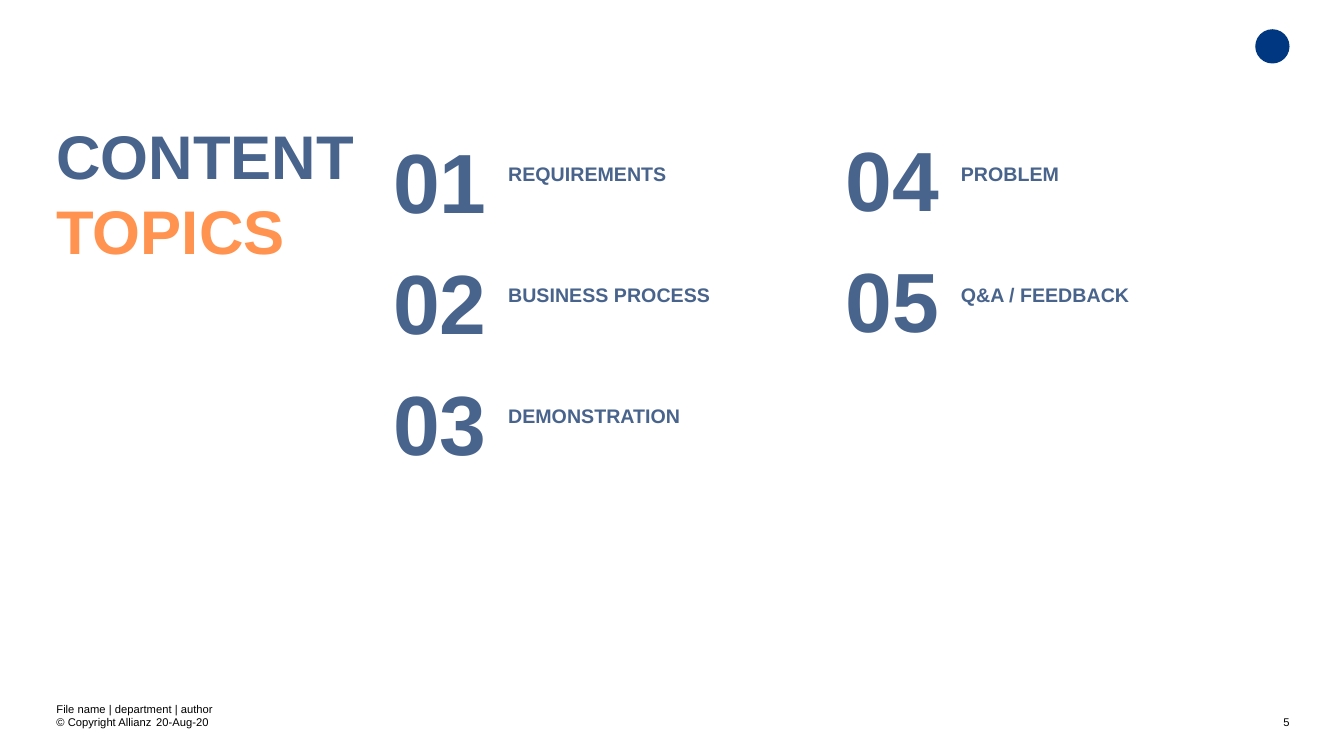
"""Build the content topics slide."""
from pptx import Presentation
from pptx.dml.color import RGBColor
from pptx.enum.shapes import MSO_SHAPE as Shape
from pptx.enum.text import MSO_ANCHOR as Anchor, PP_ALIGN as Align
from pptx.util import Inches, Pt

NAVY, ORANGE, EMBLEM_BLUE, BLACK = "49648C", "FF934F", "003781", "000000"
TITLE = [("CONTENT ", NAVY), ("TOPICS", ORANGE)]
TOPIC_COLUMNS = [
    ["REQUIREMENTS", "BUSINESS PROCESS", "DEMONSTRATION"],
    ["PROBLEM", "Q&A / FEEDBACK"],
]
NUMBER_TOP_INSETS = [0.2, 0.16]
ROW_COUNT, ROW_HEIGHT = 4, 1.2
COLUMN_WIDTHS = [1.14, 3.35] * 2
FOOTERS = [
    ("© Copyright Allianz", (0.56, 7.1, 1, 0.13), Align.LEFT),
    ("20-Aug-20", (1.55, 7.1, 1.43, 0.13), Align.LEFT),
    ("File name | department | author", (0.56, 6.97, 6.13, 0.14), Align.LEFT),
    ("5", (12.23, 7.1, 0.56, 0.4), Align.RIGHT),
]


def rgb(value):
    return RGBColor.from_string(value)


def box(bounds):
    return [Inches(length) for length in bounds]


def write(paragraph, text, size=8, color=BLACK, bold=False, align=Align.LEFT):
    paragraph.alignment = align
    run = paragraph.add_run()
    run.text = text
    run.font.name = "Arial"
    run.font.size = Pt(size)
    run.font.bold = bold
    run.font.color.rgb = rgb(color)


def set_insets(holder, left=0, top=0, right=0, bottom=0):
    holder.margin_left, holder.margin_top, holder.margin_right, holder.margin_bottom = box(
        (left, top, right, bottom))


def add_title(slide):
    title = slide.shapes.title
    title.left, title.top, title.width, title.height = box((0.56, 0.84, 3.34, 4.8))
    frame = title.text_frame
    frame.word_wrap = True
    frame.vertical_anchor = Anchor.TOP
    set_insets(frame, top=0.33)
    heading = frame.paragraphs[0]
    heading.line_spacing = Pt(53)
    for word, color in TITLE:
        write(heading, word, size=44, color=color, bold=True)


def add_topics(slide):
    bounds = box((3.9, 1.13, sum(COLUMN_WIDTHS), ROW_COUNT * ROW_HEIGHT))
    agenda = slide.shapes.add_table(ROW_COUNT, len(COLUMN_WIDTHS), *bounds).table
    agenda.first_row = agenda.horz_banding = False
    for column, width in zip(agenda.columns, COLUMN_WIDTHS):
        column.width = Inches(width)
    for cell in agenda.iter_cells():
        cell.fill.background()
        cell.vertical_anchor = Anchor.MIDDLE
    number = 0
    for group, topics in enumerate(TOPIC_COLUMNS):
        for row, topic in enumerate(topics):
            number += 1
            number_cell = agenda.cell(row, 2 * group)
            topic_cell = agenda.cell(row, 2 * group + 1)
            set_insets(number_cell, top=NUMBER_TOP_INSETS[group])
            set_insets(topic_cell, top=0.05, right=0.1, bottom=0.05)
            write(number_cell.text_frame.paragraphs[0], f"{number:02}",
                  size=60, color=NAVY, bold=True)
            write(topic_cell.text_frame.paragraphs[0], topic,
                  size=14, color=NAVY, bold=True)


def add_emblem(slide):
    emblem = slide.shapes.add_shape(Shape.OVAL, *box((12.45, 0.29, 0.34, 0.34)))
    emblem.shadow.inherit = False
    emblem.fill.solid()
    emblem.fill.fore_color.rgb = rgb(EMBLEM_BLUE)
    emblem.line.fill.background()


def add_footers(slide):
    for text, bounds, align in FOOTERS:
        frame = slide.shapes.add_textbox(*box(bounds)).text_frame
        frame.word_wrap = True
        set_insets(frame)
        write(frame.paragraphs[0], text, align=align)


def main():
    deck = Presentation()
    deck.slide_width, deck.slide_height = Inches(13.33), Inches(7.5)
    slide = deck.slides.add_slide(deck.slide_layouts[5])
    add_emblem(slide)
    add_topics(slide)
    add_title(slide)
    add_footers(slide)
    deck.save("out.pptx")


if __name__ == "__main__":
    main()
